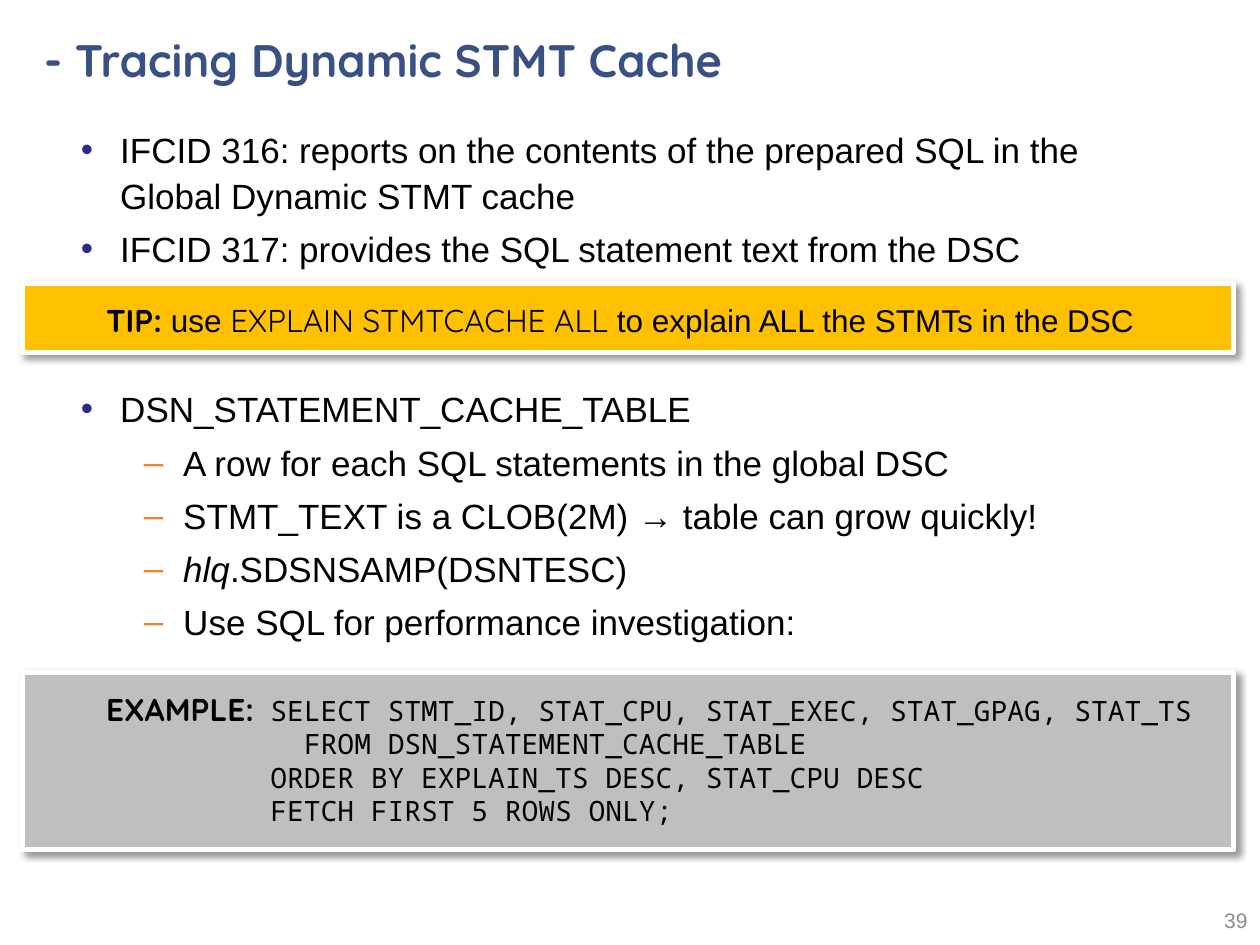
from lxml import etree
from pptx import Presentation, util as u
from pptx.dml import color
from pptx.enum import shapes, text
from pptx.oxml import ns

HEADING, BODY, CODE = "Quicksand", "Arial", "Noto Sans Mono"
BLACK, WHITE = "000000", "FFFFFF"
BULLETS = [("•", "282E85", 22.5), ("–", "EF8031", 58.5)]
HANGING = 22.5
PANEL_LEFT, PANEL_WIDTH = 13, 692


def rgb(value):
    return color.RGBColor.from_string(value)


def add_xml(parent, tag, **values):
    child = etree.SubElement(parent, ns.qn(tag))
    for name, value in values.items():
        child.set(name, str(value))
    return child


class SlideBuilder:
    base = {"name": BODY, "size": u.Pt(18), "bold": False, "italic": False}

    def __init__(self, slide):
        self.slide = slide

    def add_runs(self, paragraph, *runs, fill=BLACK, **style):
        """Add runs, each a string or a (string, own format) pair."""
        for item in runs:
            words, own = (item, {}) if isinstance(item, str) else item
            run = paragraph.add_run()
            run.text = words
            for name, value in {**self.base, **style, **own}.items():
                setattr(run.font, name, value)
            run.font.color.rgb = rgb(fill)

    def place(self, shape, left, top, width, height):
        box = {"left": left, "top": top, "width": width, "height": height}
        for name, value in box.items():
            setattr(shape, name, u.Pt(value))

    def frame(self, shape, anchor=text.MSO_ANCHOR.TOP):
        frame = shape.text_frame
        settings = {"word_wrap": True, "vertical_anchor": anchor,
                    "auto_size": text.MSO_AUTO_SIZE.NONE}
        for name, value in settings.items():
            setattr(frame, name, value)
        return frame

    def title(self, words, *box):
        shape = self.slide.shapes.title
        self.place(shape, *box)
        paragraph = self.frame(shape, text.MSO_ANCHOR.MIDDLE).paragraphs[0]
        paragraph.alignment = text.PP_ALIGN.LEFT
        self.add_runs(paragraph, words, fill="385083", name=HEADING,
                      size=u.Pt(26), bold=True)

    def bullets(self, items, *box):
        """Fill the body with (level, space before, runs) items."""
        shape = self.slide.placeholders[1]
        self.place(shape, *box)
        frame = self.frame(shape)
        for index, (level, before, runs) in enumerate(items):
            paragraph = frame.add_paragraph() if index else frame.paragraphs[0]
            settings = {"level": level, "line_spacing": 1.1,
                        "space_before": u.Pt(before)}
            for name, value in settings.items():
                setattr(paragraph, name, value)
            mark, mark_color, indent = BULLETS[level]
            properties = paragraph._p.get_or_add_pPr()
            properties.set("marL", str(u.Pt(indent)))
            properties.set("indent", str(-u.Pt(HANGING)))
            add_xml(add_xml(properties, "a:buClr"), "a:srgbClr", val=mark_color)
            add_xml(properties, "a:buFont", typeface=BODY)
            add_xml(properties, "a:buChar", char=mark)
            self.add_runs(paragraph, *runs, size=u.Pt(20))

    def panel(self, top, height, fill):
        """Draw a framed, shadowed box and return the group that holds it."""
        group = self.slide.shapes.add_group_shape()
        box = [u.Pt(n) for n in (PANEL_LEFT, top, PANEL_WIDTH, height)]
        shape = group.shapes.add_shape(shapes.MSO_SHAPE.RECTANGLE, *box)
        shape.fill.solid()
        shape.fill.fore_color.rgb = rgb(fill)
        shape.line.color.rgb = rgb(WHITE)
        shape.line.width = u.Pt(3)
        shape.shadow.inherit = False
        effects = shape._element.spPr.find(ns.qn("a:effectLst"))
        shadow = add_xml(effects, "a:outerShdw", blurRad=u.Pt(4), dist=u.Pt(3),
                         dir=45 * 60000, algn="tl", rotWithShape=0)
        shade = add_xml(shadow, "a:srgbClr", val=BLACK)
        add_xml(shade, "a:alpha", val=40000)
        return group

    def label(self, parent, box, lines, align=text.PP_ALIGN.LEFT,
              anchor=text.MSO_ANCHOR.TOP, **style):
        shape = parent.shapes.add_textbox(*[u.Pt(n) for n in box])
        frame = self.frame(shape, anchor)
        for index, runs in enumerate(lines):
            paragraph = frame.add_paragraph() if index else frame.paragraphs[0]
            paragraph.alignment = align
            self.add_runs(paragraph, *runs, **style)
        return frame


def main():
    presentation = Presentation()
    presentation.slide_width, presentation.slide_height = u.Pt(720), u.Pt(540)
    slide = presentation.slides.add_slide(presentation.slide_layouts[1])
    builder = SlideBuilder(slide)
    strong = {"name": HEADING, "bold": True}

    # Title and list; the wide gap leaves room for the tip
    builder.title("- Tracing Dynamic STMT Cache", 18, 6, 664.5, 56)
    builder.bullets([
        (0, 4, ["IFCID 316: reports on the contents of the prepared SQL "
                "in the Global Dynamic STMT cache"]),
        (0, 4, ["IFCID 317: provides the SQL statement text from the DSC"]),
        (0, 65, ["DSN_STATEMENT_CACHE_TABLE"]),
        (1, 4, ["A row for each SQL statements in the global DSC"]),
        (1, 4, ["STMT_TEXT is a CLOB(2M) → table can grow quickly!"]),
        (1, 4, [("hlq", {"italic": True}), ".SDSNSAMP(DSNTESC)"]),
        (1, 4, ["Use SQL for performance investigation:"]),
    ], 39, 67.5, 643, 439)

    # Tip
    tip = builder.panel(162, 39.5, "FFC000")
    builder.label(tip, (53.5, 168.5, 641, 29), [[
        ("TIP: ", strong), "use ",
        ("EXPLAIN STMTCACHE ALL", {"name": HEADING}),
        " to explain ALL the STMTs in the DSC"]])

    # Example query
    example = builder.panel(384.5, 101, "BFBFBF")
    builder.label(example, (53.5, 390.5, 641, 29), [[("EXAMPLE:", strong)]])
    query = builder.label(example, (147.5, 392.5, 561.5, 85), [
        ["SELECT STMT_ID, STAT_CPU, STAT_EXEC, STAT_GPAG, STAT_TS"],
        ["FROM DSN_STATEMENT_CACHE_TABLE"],
        ["ORDER BY EXPLAIN_TS DESC, STAT_CPU DESC"],
        ["FETCH FIRST 5 ROWS ONLY;"],
    ], name=CODE, size=u.Pt(16))
    query.paragraphs[1]._p.get_or_add_pPr().set("marL", str(u.Pt(19.2)))

    # Page number
    builder.label(slide, (552, 511, 168, 29), [["39"]],
                  align=text.PP_ALIGN.RIGHT, anchor=text.MSO_ANCHOR.MIDDLE,
                  fill="8C8C8C", size=u.Pt(12))

    presentation.save("out.pptx")


if __name__ == "__main__":
    main()
